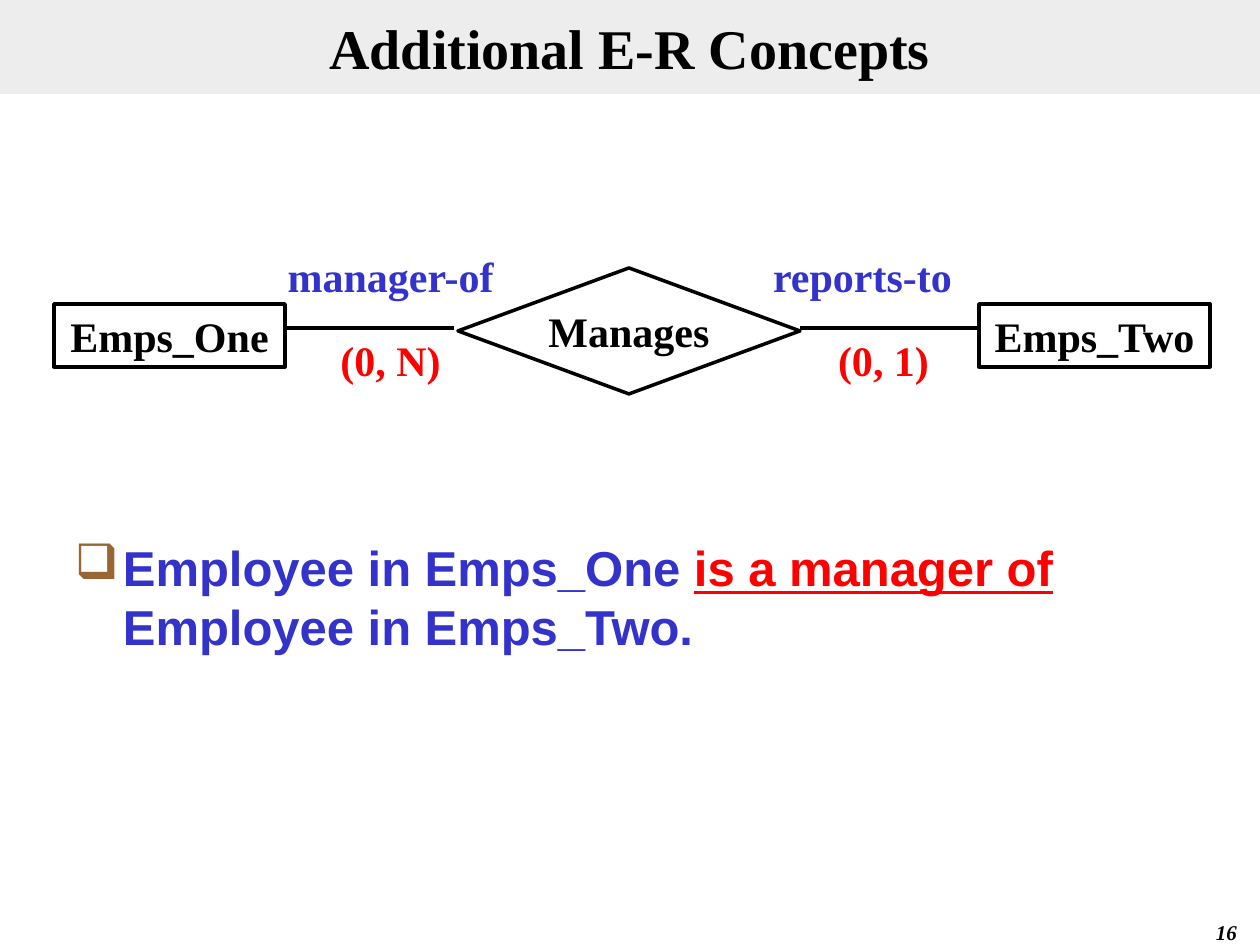
import pptx
import pptx.util
from lxml import etree
from pptx.dml.color import RGBColor
from pptx.enum.shapes import MSO_CONNECTOR, MSO_SHAPE
from pptx.enum.text import MSO_ANCHOR, PP_ALIGN
from pptx.oxml.ns import qn

PX = 914400 // 126
BLACK = RGBColor(0x00, 0x00, 0x00)
GRAY = RGBColor(0xDD, 0xDD, 0xDD)
BLUE = RGBColor(0x33, 0x33, 0xCC)
RED = RGBColor(0xFF, 0x00, 0x00)
SERIF = "Times New Roman"

prs = pptx.Presentation()
prs.slide_width = 1260 * PX
prs.slide_height = 945 * PX
s = prs.slides.add_slide(prs.slide_layouts[6])


def add_box(x, y, w, h, shape=None):
    """Add a text box, or an unfilled preset shape with a black outline."""
    rect = [v * PX for v in (x, y, w, h)]
    if shape is None:
        return s.shapes.add_textbox(*rect)
    sp = s.shapes.add_shape(shape, *rect)
    sp.shadow.inherit = False
    sp.fill.background()
    sp.line.color.rgb = BLACK
    sp.line.width = pptx.util.Pt(2)
    return sp


def write(sp, text, size, color, side=12, align=PP_ALIGN.CENTER):
    tf = sp.text_frame
    tf.word_wrap = True
    tf.vertical_anchor = MSO_ANCHOR.MIDDLE
    tf.margin_left = tf.margin_right = side * PX
    tf.margin_top = tf.margin_bottom = 6 * PX
    p = tf.paragraphs[0]
    p.text = text
    p.alignment = align
    font = p.runs[0].font
    font.name, font.size, font.bold = SERIF, pptx.util.Pt(size), True
    font.color.rgb = color
    return font


# Title band
title = add_box(0, 0, 1260, 94, MSO_SHAPE.RECTANGLE)
title.line.fill.background()
title.fill.solid()
title.fill.fore_color.rgb = GRAY
clr = title._element.spPr.find(qn("a:solidFill"))[0]
etree.SubElement(clr, qn("a:alpha"), val="50000")
write(title, "Additional E-R Concepts", 32, BLACK)

# Statement
body = add_box(63, 532, 1134, 146)
tf = body.text_frame
tf.word_wrap = True
tf.margin_left = tf.margin_right = 12 * PX
tf.margin_top = 6 * PX
p = tf.paragraphs[0]
pPr = p._p.get_or_add_pPr()
pPr.set("marL", str(48 * PX))
pPr.set("indent", str(-48 * PX))
bullet_color = etree.SubElement(pPr, qn("a:buClr"))
etree.SubElement(bullet_color, qn("a:srgbClr"), val="996633")
etree.SubElement(pPr, qn("a:buChar"), char="❑")
for text, color, underline in (
    ("Employee in Emps_One ", BLUE, False),
    ("is a manager of", RED, True),
    (" Employee in Emps_Two.", BLUE, False),
):
    r = p.add_run()
    r.text = text
    r.font.name, r.font.size, r.font.bold = "Arial", pptx.util.Pt(28), True
    r.font.underline = underline
    r.font.color.rgb = color

# Entities and relationship
for text, x, y, w, h, shape in (
    ("Emps_Two", 979, 304, 231, 63, MSO_SHAPE.RECTANGLE),
    ("Emps_One", 54, 304, 231, 63, MSO_SHAPE.RECTANGLE),
    ("Manages", 458, 268, 342, 126, MSO_SHAPE.FLOWCHART_DECISION),
):
    write(add_box(x, y, w, h, shape), text, 24, BLACK, side=0)

for x1, x2 in ((454, 286), (800, 978)):
    line = s.shapes.add_connector(
        MSO_CONNECTOR.STRAIGHT, x1 * PX, 328 * PX, x2 * PX, 328 * PX)
    line.line.color.rgb = BLACK
    line.line.width = pptx.util.Pt(2)
    etree.SubElement(line._element.spPr, qn("a:effectLst"))

# Roles above the lines, cardinalities below
for text, x, y, color in (
    ("manager-of", 275, 244, BLUE),
    ("reports-to", 747, 244, BLUE),
    ("(0, N)", 275, 328, RED),
    ("(0, 1)", 768, 328, RED),
):
    write(add_box(x, y, 231, 63), text, 24, color)

# Page number
number = add_box(987, 917, 262, 31)
write(number, "16", 12, BLACK, align=PP_ALIGN.RIGHT).italic = True

prs.save("out.pptx")
